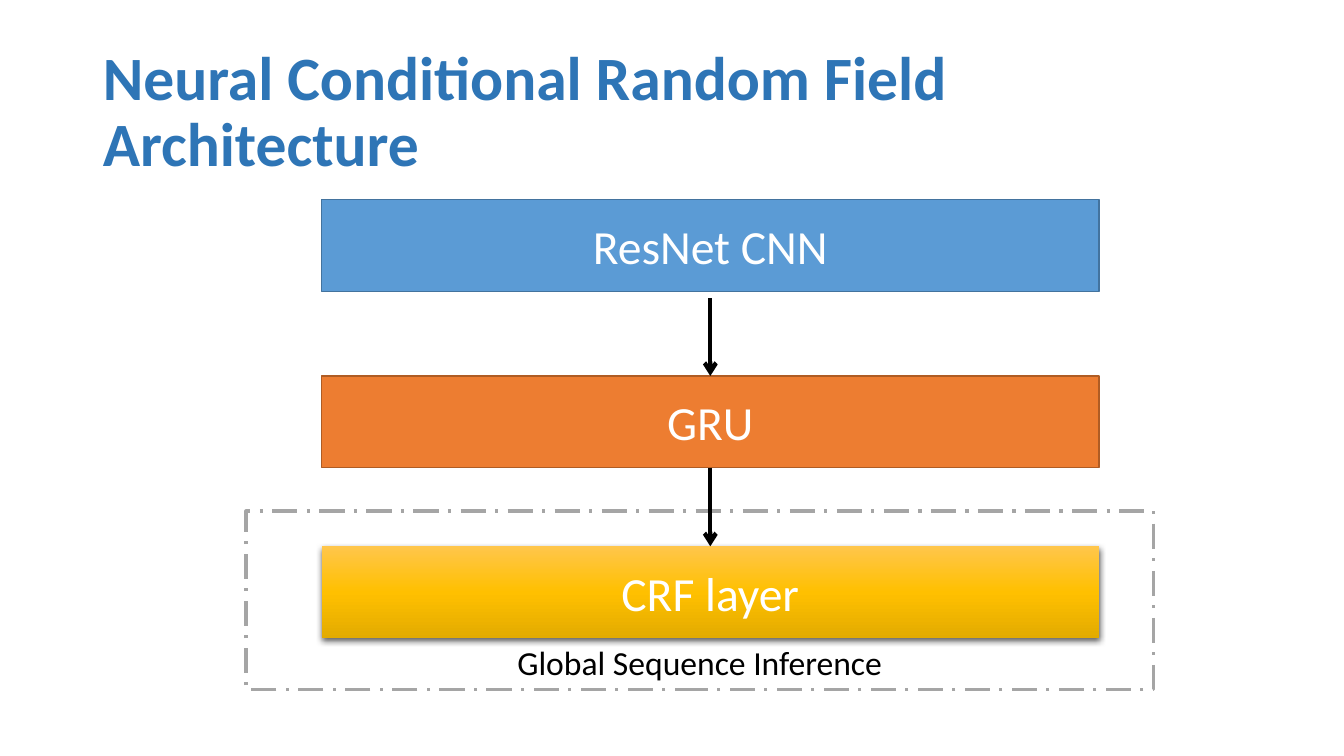
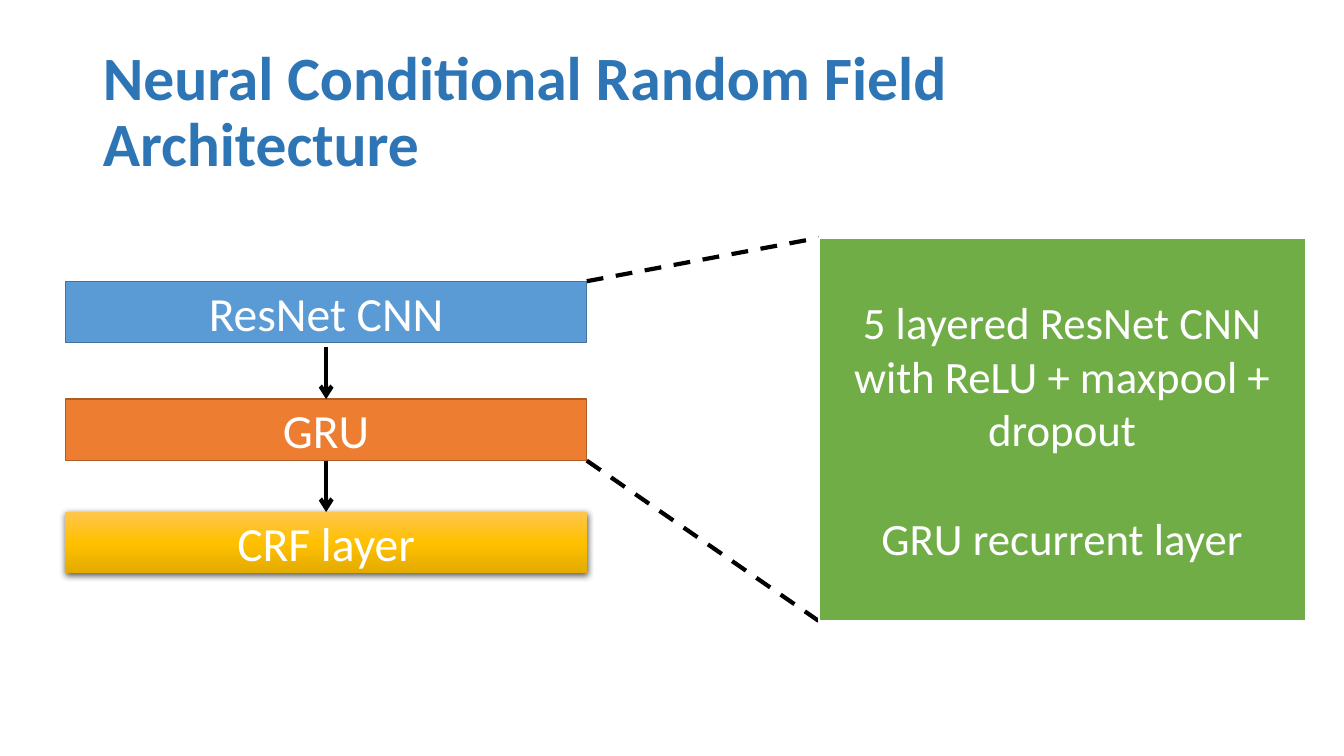
from copy import deepcopy

from lxml.etree import SubElement
from pptx import Presentation
from pptx.dml.color import RGBColor
from pptx.enum.dml import MSO_LINE
from pptx.enum.shapes import MSO_CONNECTOR, MSO_SHAPE
from pptx.enum.text import MSO_ANCHOR, PP_ALIGN
from pptx.oxml.ns import qn
from pptx.util import Inches, Pt

FONT = "Calibri"
TITLE = "Neural Conditional Random Field Architecture"
BLUE, BLUE_EDGE, TITLE_BLUE = "5B9BD5", "43739E", "2E75B6"
ORANGE, ORANGE_EDGE = "ED7D31", "AF5C24"
GOLD_STOPS = [(0, "FFC64B"), (0.5, "FFC000"), (1, "E3AB00")]
GREEN, GRAY, BLACK, WHITE = "70AD47", "A5A5A5", "000000", "FFFFFF"
LAYERS = [
    ("ResNet CNN", BLUE, BLUE_EDGE),
    ("GRU", ORANGE, ORANGE_EDGE),
    ("CRF layer", None, None),
]
STACKS = [
    {"left": 3.19, "width": 7.71, "height": 0.91, "tops": [1.98, 3.73, 5.42], "gap": 0.07},
    {"left": 0.65, "width": 5.17, "height": 0.61, "tops": [2.79, 3.96, 5.08], "gap": 0.04},
]


def add_box(page, left, top, width, height, text, size, fill, edge, weight=1, color=WHITE):
    box = page.shapes.add_shape(
        MSO_SHAPE.RECTANGLE, Inches(left), Inches(top), Inches(width), Inches(height))
    box.shadow.inherit = False
    if fill:
        box.fill.solid()
        box.fill.fore_color.rgb = RGBColor.from_string(fill)
    if edge:
        box.line.color.rgb = RGBColor.from_string(edge)
        box.line.width = Pt(weight)
    else:
        box.line.fill.background()
    box.text_frame.text = text
    box.text_frame.vertical_anchor = MSO_ANCHOR.MIDDLE
    for para in box.text_frame.paragraphs:
        para.alignment = PP_ALIGN.CENTER
        para.font.name = FONT
        para.font.size = Pt(size)
        para.font.color.rgb = RGBColor.from_string(color)
    return box


def add_line(page, start, end):
    line = page.shapes.add_connector(
        MSO_CONNECTOR.STRAIGHT, *[Inches(value) for value in start + end])
    line.line.color.rgb = RGBColor.from_string(BLACK)
    line.line.width = Pt(3)
    SubElement(line._element.spPr, qn("a:effectLst"))
    return line


deck = Presentation()
deck.slide_width, deck.slide_height = Inches(13.33), Inches(7.5)
layout = deck.slide_layouts[5]

for number, stack in enumerate(STACKS):
    page = deck.slides.add_slide(layout)
    title = page.shapes.title
    title.left, title.top = Inches(0.92), Inches(0.4)
    title.width, title.height = Inches(11.5), Inches(1.45)
    title.text_frame.text = TITLE
    title.text_frame.vertical_anchor = MSO_ANCHOR.MIDDLE
    para = title.text_frame.paragraphs[0]
    para.alignment = PP_ALIGN.LEFT
    para.line_spacing = 0.9
    span = para.runs[0]
    span.font.name = FONT
    span.font.size = Pt(44)
    span.font.bold = True
    span.font.color.rgb = RGBColor.from_string(TITLE_BLUE)

    if number == 0:
        frame = add_box(page, 2.44, 5.07, 9, 1.77, "Global Sequence Inference",
                        24, WHITE, GRAY, 2.25, BLACK)
        frame.line.dash_style = MSO_LINE.LONG_DASH_DOT
        frame.text_frame.vertical_anchor = MSO_ANCHOR.BOTTOM
        frame.text_frame.margin_bottom = Inches(0.07)

    left, width, height, tops = stack["left"], stack["width"], stack["height"], stack["tops"]
    boxes = [add_box(page, left, top, width, height, text, 34, fill, edge)
             for top, (text, fill, edge) in zip(tops, LAYERS)]

    crf = boxes[-1]
    crf.fill.gradient()
    crf.fill.gradient_angle = 270
    properties = crf._element.spPr
    stop_list = properties.find(".//" + qn("a:gsLst"))
    stop_list.append(deepcopy(stop_list[0]))
    for stop, (position, color) in zip(crf.fill.gradient_stops, GOLD_STOPS):
        stop.position = position
        stop.color.rgb = RGBColor.from_string(color)
    shadow = SubElement(properties.find(qn("a:effectLst")), qn("a:outerShdw"),
                        blurRad=str(Pt(4.5)), dist=str(Pt(1.5)), dir="5400000",
                        algn="ctr", rotWithShape="0")
    shade = SubElement(shadow, qn("a:srgbClr"), val=BLACK)
    SubElement(shade, qn("a:alpha"), val="63000")

    center = left + width / 2
    for index, gap in enumerate([stack["gap"], 0]):
        arrow = add_line(page, (center, tops[index] + height + gap), (center, tops[index + 1]))
        if gap == 0:
            arrow.begin_connect(boxes[index], 2)
        arrow.end_connect(boxes[index + 1], 0)
        SubElement(arrow.line._get_or_add_ln(), qn("a:tailEnd"), type="arrow")

    if number == 1:
        right = left + width
        note_left, note_top, note_height = 8.12, 2.36, 3.8
        for start, end in [
            ((right, tops[0]), (note_left, note_top)),
            ((right, tops[1] + height), (note_left, note_top + note_height)),
        ]:
            add_line(page, start, end).line.dash_style = MSO_LINE.DASH
        note = add_box(page, note_left, note_top, 4.83, note_height,
                       "5 layered ResNet CNN with ReLU + maxpool + dropout\nGRU recurrent layer",
                       32, GREEN, WHITE, 1.5)
        note.text_frame.paragraphs[1].space_before = Pt(39)

deck.save("out.pptx")
